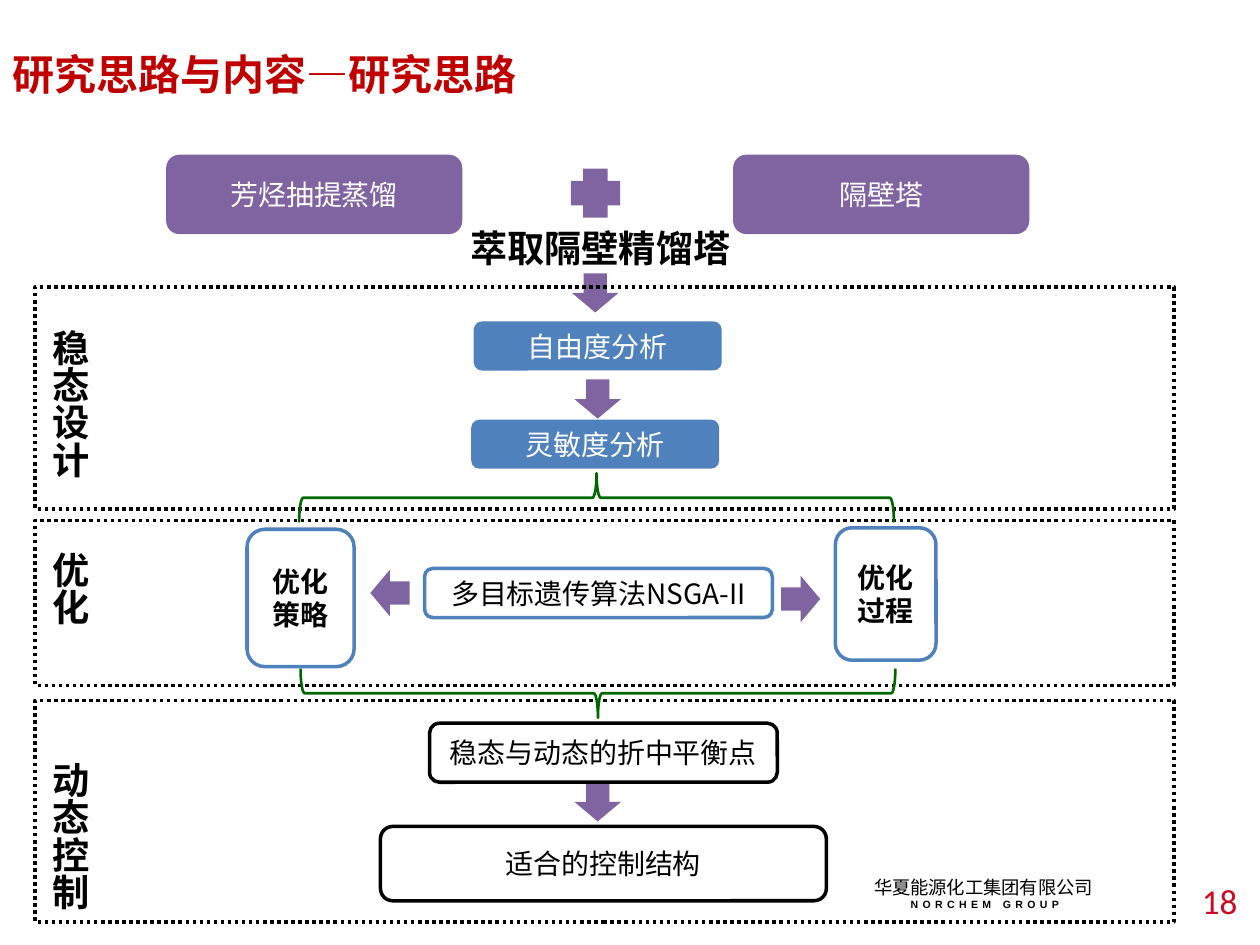
from pptx import Presentation
from pptx.dml.color import RGBColor as Rgb
from pptx.enum.dml import MSO_LINE as Dash
from pptx.enum.shapes import MSO_SHAPE as Kind
from pptx.enum.text import MSO_ANCHOR as Anchor, MSO_AUTO_SIZE as Auto, PP_ALIGN as Align
from pptx.oxml.ns import qn
from pptx.util import Cm, Pt
from lxml.etree import SubElement as Sub

BLACK = Rgb(0, 0, 0)
WHITE = Rgb(255, 255, 255)
PURPLE = Rgb(0x80, 0x64, 0xA2)
BLUE = Rgb(0x4F, 0x81, 0xBD)
GREEN = Rgb(0, 0x66, 0)
RED = Rgb(0xC0, 0, 0)
CRIMSON = Rgb(0xCD, 0x0A, 0x20)
NOTO = "Noto Sans CJK SC"


def write(shape, text, size=16, color=BLACK, bold=False, font=NOTO,
          align=Align.CENTER, anchor=Anchor.MIDDLE, wrap=True, track=0):
    frame = shape.text_frame
    frame.word_wrap = wrap
    frame.vertical_anchor = anchor
    para = frame.paragraphs[0]
    para.alignment = align
    run = para.add_run()
    run.text = text
    run.font.size = Pt(size)
    run.font.bold = bold
    run.font.color.rgb = color
    run.font.name = font
    props = run.font._element
    Sub(props, qn("a:ea")).set("typeface", NOTO)
    if track:
        props.set("spc", str(track))


def label(slide, box, text, grow=True, upright=False, **style):
    shape = slide.shapes.add_textbox(*map(Cm, box))
    write(shape, text, **style)
    frame = shape.text_frame
    frame.auto_size = Auto.SHAPE_TO_FIT_TEXT if grow else Auto.NONE
    if upright:
        frame._txBody.bodyPr.set("vert", "eaVert")


def draw(slide, kind, box, fill=None, line=None, width=2, dash=None, turn=0):
    shape = slide.shapes.add_shape(kind, *map(Cm, box))
    shape.shadow.inherit = False
    shape.rotation = turn
    if fill is None:
        shape.fill.background()
    else:
        shape.fill.solid()
        shape.fill.fore_color.rgb = fill
    if line is None:
        shape.line.fill.background()
    else:
        shape.line.color.rgb = line
        shape.line.width = Pt(width)
        shape.line.dash_style = dash
    return shape


def card(slide, box, text, fill=WHITE, line=None, **style):
    write(draw(slide, Kind.ROUNDED_RECTANGLE, box, fill, line), text, **style)


def arrow(slide, left, top, turn=0):
    draw(slide, Kind.DOWN_ARROW, (left, top, 0.94, 0.79), PURPLE, turn=turn)


def brace(slide, left, top, turn):
    draw(slide, Kind.LEFT_BRACE, (left, top, 0.99, 11.99),
         line=GREEN, width=1.5, turn=turn)


def stage(slide, top, high, text, start, tall):
    draw(slide, Kind.RECTANGLE, (0.71, top, 22.96, high),
         line=BLACK, dash=Dash.ROUND_DOT)
    label(slide, (0.56, start, 1.42, tall), text, upright=True, size=21.3,
          bold=True, align=Align.LEFT, anchor=Anchor.TOP)


def main():
    deck = Presentation()
    deck.slide_width, deck.slide_height = Cm(25.4), Cm(19.05)
    slide = deck.slides.add_slide(deck.slide_layouts[6])

    plain = dict(align=Align.LEFT, anchor=Anchor.TOP)
    label(slide, (17.37, 17.53, 5, 0.71), "华夏能源化工集团有限公司",
          size=10.5, wrap=False, **plain)
    label(slide, (18.11, 17.98, 3.51, 0.51), "NORCHEM GROUP",
          size=6, font="Arial", bold=True, track=250, **plain)
    label(slide, (23.98, 17.65, 1.73, 1.02), "18", grow=False, size=20,
          color=CRIMSON, font="Calibri", align=Align.LEFT)
    label(slide, (0, 0.86, 21.89, 1.9), "研究思路与内容—研究思路", grow=False,
          size=24, color=RED, bold=True, **plain)

    for left, text in ((3.35, "芳烃抽提蒸馏"), (14.78, "隔壁塔")):
        card(slide, (left, 3.12, 5.97, 1.6), text, PURPLE, color=WHITE)
    draw(slide, Kind.CROSS, (11.51, 3.4, 0.99, 0.99), PURPLE)

    for spot in ((11.53, 5.51), (11.58, 7.65), (11.58, 15.77),
                 (7.39, 11.56, 90), (15.67, 11.68, 270)):
        arrow(slide, *spot)

    for left, top, text in ((9.55, 6.48, "自由度分析"), (9.5, 8.46, "灵敏度分析")):
        card(slide, (left, top, 5, 0.99), text, BLUE, color=WHITE)
    for box, text in (((16.84, 10.64, 2.03, 2.67), "优化过程"),
                      ((4.98, 10.67, 2.16, 2.77), "优化策略")):
        card(slide, box, text, line=BLUE, bold=True, font="Calibri")
    for box, text in (((7.67, 16.66, 8.99, 1.5), "适合的控制结构"),
                      ((8.66, 14.58, 7.01, 1.19), "稳态与动态的折中平衡点")):
        card(slide, box, text, line=BLACK)

    label(slide, (9.02, 4.42, 6.17, 1.17), "萃取隔壁精馏塔", size=21.3,
          bold=True, anchor=Anchor.TOP)
    for row in ((5.79, 4.47, "稳态设计", 6.4, 3.56),
                (10.49, 3.33, "优化", 10.87, 2.49),
                (14.12, 4.47, "动态控制", 15.11, 3.78)):
        stage(slide, *row)

    brace(slide, 11.53, 4.04, 90)
    brace(slide, 11.56, 7.98, 270)
    card(slide, (8.56, 11.46, 7.01, 0.99), "多目标遗传算法NSGA-II", line=BLUE)

    deck.save("out.pptx")


if __name__ == "__main__":
    main()
